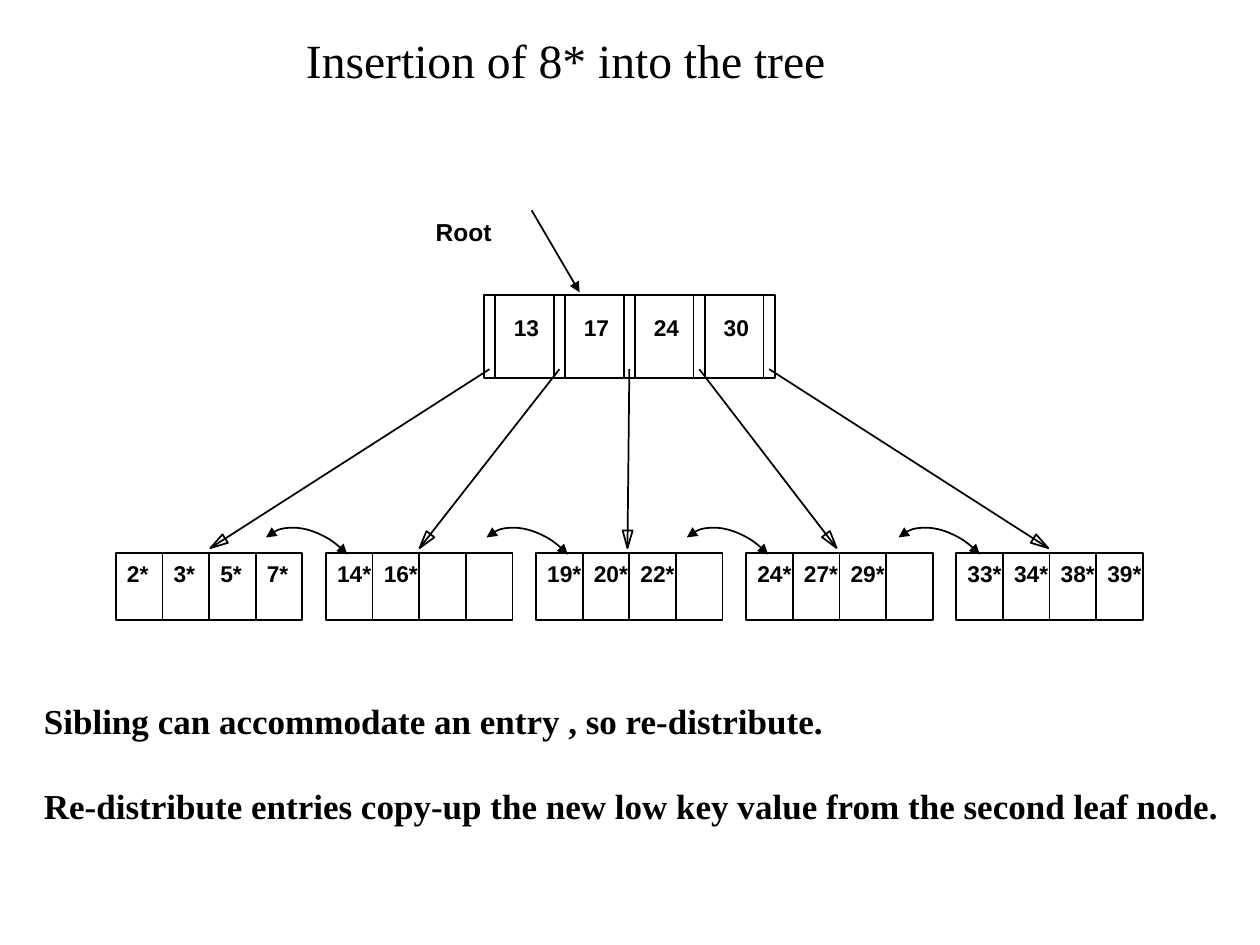
"""Build a slide showing a B+ tree before 8* is inserted."""
from dataclasses import dataclass
from math import hypot

from lxml import etree
from pptx import Presentation
from pptx.dml.color import RGBColor
from pptx.enum.shapes import MSO_CONNECTOR, MSO_SHAPE
from pptx.enum.text import MSO_AUTO_SIZE
from pptx.oxml.ns import qn
from pptx.util import Inches, Pt

STRAIGHT = MSO_CONNECTOR.STRAIGHT
ARC, RECTANGLE = MSO_SHAPE.ARC, MSO_SHAPE.RECTANGLE
FIT_SHAPE = MSO_AUTO_SIZE.SHAPE_TO_FIT_TEXT


@dataclass(frozen=True)
class Theme:
    ink: RGBColor = RGBColor(0, 0, 0)
    serif: str = "Times New Roman"
    sans: str = "Arial"
    title: float = 27.2
    body: float = 20
    root: float = 14
    key: float = 13
    line: float = 1


THEME = Theme()
TITLE = "Insertion of 8* into the tree"
NOTES = [
    "Sibling can accommodate an entry , so re-distribute.",
    "Re-distribute entries copy-up the new low key value from the second leaf node.",
]
ROOT_KEYS = ["13", "17", "24", "30"]
LEAVES = [
    ["2*", "3*", "5*", "7*"],
    ["14*", "16*"],
    ["19*", "20*", "22*"],
    ["24*", "27*", "29*"],
    ["33*", "34*", "38*", "39*"],
]
CHILD_TIPS = [1.67, 3.33, 4.98, 6.64, 8.32]
SIBLING_CENTERS = [2.48, 4.23, 5.82, 7.5]

ROOT_LEFT, ROOT_TOP, ROOT_HEIGHT = 3.84, 2.34, 0.66
ROOT_END, POINTER_WIDTH = 6.06, 0.09
ROOT_PITCH = (ROOT_END - ROOT_LEFT) / len(ROOT_KEYS)
LEAF_FIRST, LEAF_LAST, LEAF_TOP = 0.92, 7.59, 4.39
LEAF_PITCH = (LEAF_LAST - LEAF_FIRST) / (len(LEAVES) - 1)
LEAF_SLOTS, SLOT_WIDTH, SLOT_HEIGHT = 4, 0.37, 0.53
CHILD_START, CHILD_END = 2.93, 4.35
HEAD_LENGTH, HEAD_HALF_WIDTH = 0.14, 0.04
ARC_WIDTH, ARC_HEIGHT, ARC_MIDDLE, ARC_TURN = 0.76, 1.08, 4.66, 317


def add_text(slide, paragraphs, left, top, width, height, *, size, font=THEME.sans,
             bold=True, wrap=False, gap=0, before=0, spacing=None):
    box = slide.shapes.add_textbox(*map(Inches, (left, top, width, height)))
    frame = box.text_frame
    frame.word_wrap = wrap
    frame.auto_size = FIT_SHAPE
    for index, text in enumerate(paragraphs):
        paragraph = frame.add_paragraph() if index else frame.paragraphs[0]
        paragraph.space_before = Pt(gap if index else before)
        if spacing:
            paragraph.line_spacing = spacing
        run = paragraph.add_run()
        run.text = text
        run.font.name, run.font.size, run.font.bold = font, Pt(size), bold
        run.font.color.rgb = THEME.ink


def outline(shape):
    shape.shadow.inherit = False
    shape.fill.background()
    shape.line.color.rgb = THEME.ink
    shape.line.width = Pt(THEME.line)


def add_heads(shape, *ends):
    line = shape.line._get_or_add_ln()
    for end in ends:
        etree.SubElement(line, qn(f"a:{end}"), type="triangle")


def add_box(slide, left, top, width, height):
    outline(slide.shapes.add_shape(RECTANGLE, *map(Inches, (left, top, width, height))))


def add_line(slide, *ends):
    connector = slide.shapes.add_connector(STRAIGHT, *map(Inches, ends))
    connector.line.color.rgb = THEME.ink
    connector.line.width = Pt(THEME.line)
    etree.SubElement(connector._element.spPr, qn("a:effectLst"))
    return connector


def add_child_arrow(slide, x1, y1, x2, y2):
    add_line(slide, x1, y1, x2, y2)
    length = hypot(x2 - x1, y2 - y1)
    dx, dy = (x2 - x1) / length, (y2 - y1) / length
    base_x, base_y = x2 - HEAD_LENGTH * dx, y2 - HEAD_LENGTH * dy
    side_x, side_y = -HEAD_HALF_WIDTH * dy, HEAD_HALF_WIDTH * dx
    builder = slide.shapes.build_freeform(Inches(x2), Inches(y2))
    corners = [(base_x + side * side_x, base_y + side * side_y) for side in (1, -1)]
    builder.add_line_segments([(Inches(x), Inches(y)) for x, y in corners], close=True)
    outline(builder.convert_to_shape())


def add_root(slide):
    for index, key in enumerate(ROOT_KEYS):
        left = ROOT_LEFT + index * ROOT_PITCH
        add_box(slide, left, ROOT_TOP, ROOT_PITCH, ROOT_HEIGHT)
        divider = left + POINTER_WIDTH
        add_line(slide, divider, ROOT_TOP, divider, ROOT_TOP + ROOT_HEIGHT)
        add_text(slide, [key], left + 0.14, 2.44, 0.42, 0.31, size=THEME.key)
    add_box(slide, ROOT_END, ROOT_TOP, POINTER_WIDTH, ROOT_HEIGHT)
    add_text(slide, ["Root"], 3.36, 1.67, 0.75, 0.33, size=THEME.root)
    add_heads(add_line(slide, 4.22, 1.67, 4.6, 2.32), "tailEnd")


def add_leaf(slide, leaf_left, entries):
    for slot in range(LEAF_SLOTS):
        add_box(slide, leaf_left + slot * SLOT_WIDTH, LEAF_TOP, SLOT_WIDTH, SLOT_HEIGHT)
    for slot, entry in enumerate(entries):
        left = leaf_left + slot * SLOT_WIDTH - 0.01
        width = 0.2 + 0.1 * len(entry)
        add_text(slide, [entry], left, LEAF_TOP, width, 0.31, size=THEME.key)


def add_sibling_arrow(slide, center):
    left, top = center - ARC_WIDTH / 2, ARC_MIDDLE - ARC_HEIGHT / 2
    arc = slide.shapes.add_shape(ARC, *map(Inches, (left, top, ARC_WIDTH, ARC_HEIGHT)))
    arc.rotation = ARC_TURN
    outline(arc)
    add_heads(arc, "headEnd", "tailEnd")


def main():
    presentation = Presentation()
    presentation.slide_width, presentation.slide_height = Inches(10), Inches(7.5)
    slide = presentation.slides.add_slide(presentation.slide_layouts[6])
    add_text(slide, [TITLE], 2.33, 0.25, 5.5, 0.58, size=THEME.title, font=THEME.serif,
             bold=False, wrap=True, before=8, spacing=0.9)
    add_root(slide)
    for index, (entries, tip) in enumerate(zip(LEAVES, CHILD_TIPS)):
        add_leaf(slide, LEAF_FIRST + index * LEAF_PITCH, entries)
        start = ROOT_LEFT + index * ROOT_PITCH + POINTER_WIDTH / 2
        add_child_arrow(slide, start, CHILD_START, tip, CHILD_END)
    for center in SIBLING_CENTERS:
        add_sibling_arrow(slide, center)
    add_text(slide, NOTES, 0.25, 5.5, 9.58, 1.44, size=THEME.body, font=THEME.serif,
             wrap=True, gap=25)
    presentation.save("out.pptx")


if __name__ == "__main__":
    main()
